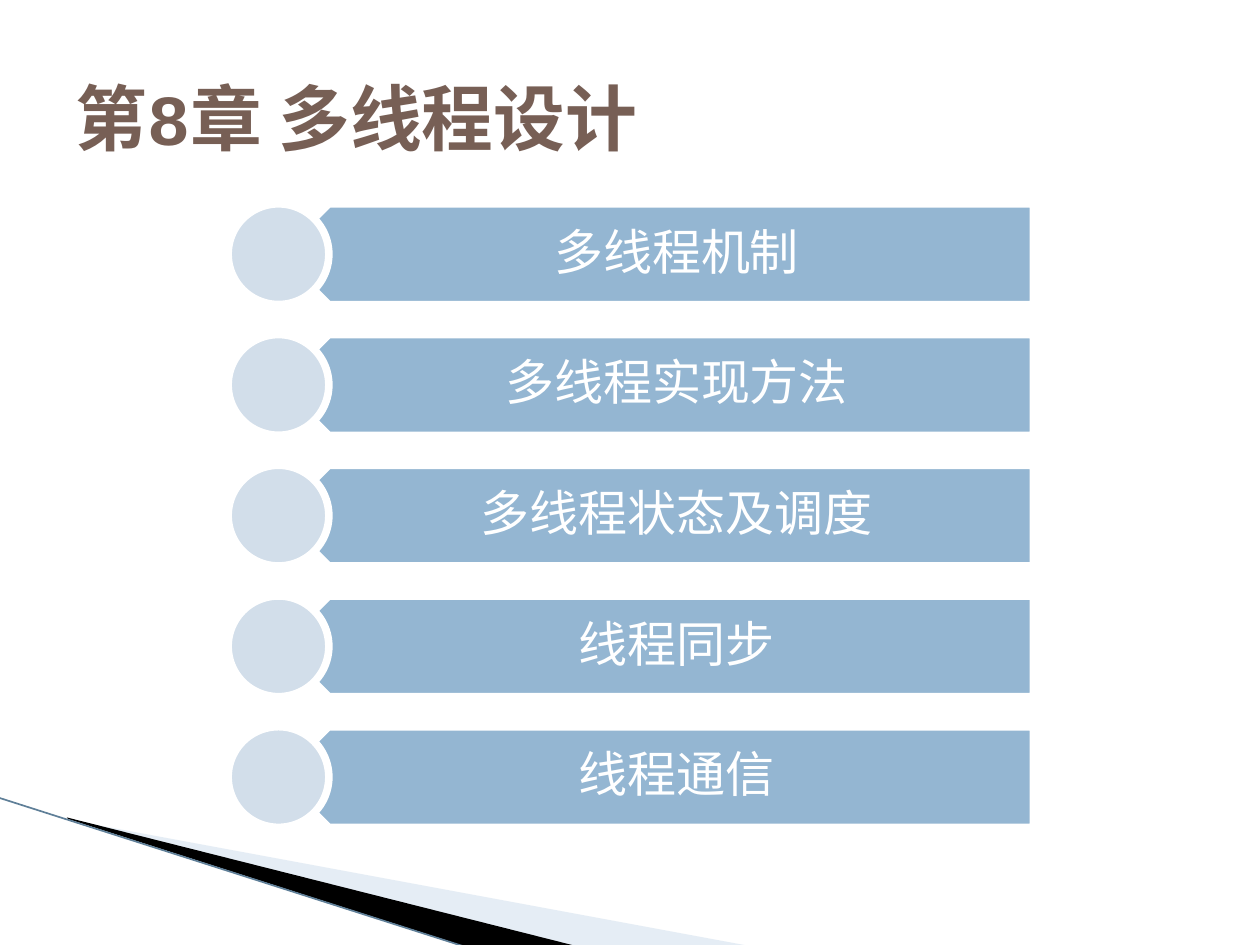
from lxml.etree import SubElement
from pptx import Presentation
from pptx.dml.color import RGBColor
from pptx.enum.shapes import MSO_CONNECTOR, MSO_SHAPE
from pptx.enum.text import MSO_ANCHOR, PP_ALIGN
from pptx.oxml.ns import qn
from pptx.util import Cm, Pt

TITLE = "第8章 多线程设计"
TOPICS = ["多线程机制", "多线程实现方法", "多线程状态及调度", "线程同步", "线程通信"]

FONT = "Courier New"
WHITE, BROWN, BLUE, PALE = "FFFFFF", "775F55", "94B6D2", "D2DEEA"

# Corner decoration, points in cm: (outline, colour, opacity in percent)
WEDGES = [
    ([(1.4, 16.53), (15.11, 19.07), (11.58, 19.07), (1.4, 16.51)], "C0D3E6", 40),
    ([(1.35, 16.48), (11.61, 19.07), (9.45, 19.1), (1.37, 16.51)], "000000", 100),
]
EDGE = (-0.03, 16.08, 9.42, 19.1)
EDGE_COLOR = "5F7F98"

# Topic list, in cm
FIRST_TOP, PITCH, BAR_HEIGHT = 4.11, 2.635, 2.03
CIRCLE_LEFT, BAR_LEFT, BAR_RIGHT = 4.6, 5.61, 20.83
LABEL_LEFT = 6.12


def color(hex_text):
    return RGBColor.from_string(hex_text)


def paint(shape, fill, line=None, line_width=4.33):
    shape.shadow.inherit = False
    shape.fill.solid()
    shape.fill.fore_color.rgb = color(fill)
    if line:
        shape.line.color.rgb = color(line)
        shape.line.width = Pt(line_width)
    else:
        shape.line.fill.background()


def add_text(slide, text, left, top, width, height, *, size, ink, bold=False,
             align=PP_ALIGN.LEFT, insets=(0.25, 0.13, 0.25, 0.13),
             line_spacing=1.0, space_after=0):
    frame = slide.shapes.add_textbox(
        Cm(left), Cm(top), Cm(width), Cm(height)).text_frame
    frame.word_wrap = True
    frame.vertical_anchor = MSO_ANCHOR.MIDDLE
    (frame.margin_left, frame.margin_top,
     frame.margin_right, frame.margin_bottom) = map(Cm, insets)
    paragraph = frame.paragraphs[0]
    paragraph.alignment = align
    paragraph.line_spacing = line_spacing
    paragraph.space_after = Pt(space_after)
    run = paragraph.add_run()
    run.text = text
    run.font.name = FONT
    run.font.size = Pt(size)
    run.font.bold = bold
    run.font.color.rgb = color(ink)


def add_wedge(slide, outline, fill, opacity):
    points = [(Cm(x), Cm(y)) for x, y in outline]
    builder = slide.shapes.build_freeform(*points[0])
    builder.add_line_segments(points[1:], close=True)
    wedge = builder.convert_to_shape()
    paint(wedge, fill)
    if opacity < 100:
        tone = wedge.fill._xPr.find(qn("a:solidFill"))[0]
        SubElement(tone, qn("a:alpha")).set("val", str(opacity * 1000))


def add_edge(slide):
    edge = slide.shapes.add_connector(MSO_CONNECTOR.STRAIGHT, *map(Cm, EDGE))
    edge.line.color.rgb = color(EDGE_COLOR)
    edge.line.width = Pt(0.95)
    SubElement(edge._element.spPr, qn("a:effectLst"))


def add_topic(slide, topic, top):
    bar = slide.shapes.add_shape(
        MSO_SHAPE.PENTAGON, Cm(BAR_LEFT), Cm(top),
        Cm(BAR_RIGHT - BAR_LEFT), Cm(BAR_HEIGHT))
    bar.rotation = 180
    paint(bar, BLUE, WHITE)
    add_text(slide, topic, LABEL_LEFT, top, BAR_RIGHT - LABEL_LEFT, BAR_HEIGHT,
             size=28, ink=WHITE, align=PP_ALIGN.CENTER,
             insets=(0.89, 0.3, 0.56, 0.3), line_spacing=0.9, space_after=9.8)
    circle = slide.shapes.add_shape(
        MSO_SHAPE.OVAL, Cm(CIRCLE_LEFT), Cm(top), Cm(BAR_HEIGHT), Cm(BAR_HEIGHT))
    paint(circle, PALE, WHITE)


def main():
    deck = Presentation()
    deck.slide_width, deck.slide_height = Cm(25.4), Cm(19.05)
    slide = deck.slides.add_slide(deck.slide_layouts[6])
    for wedge in WEDGES:
        add_wedge(slide, *wedge)
    add_edge(slide)
    for row, topic in enumerate(TOPICS):
        add_topic(slide, topic, FIRST_TOP + row * PITCH)
    add_text(slide, TITLE, 1.27, 0.76, 22.86, 3.18, size=41, ink=BROWN, bold=True)
    deck.save("out.pptx")


if __name__ == "__main__":
    main()
